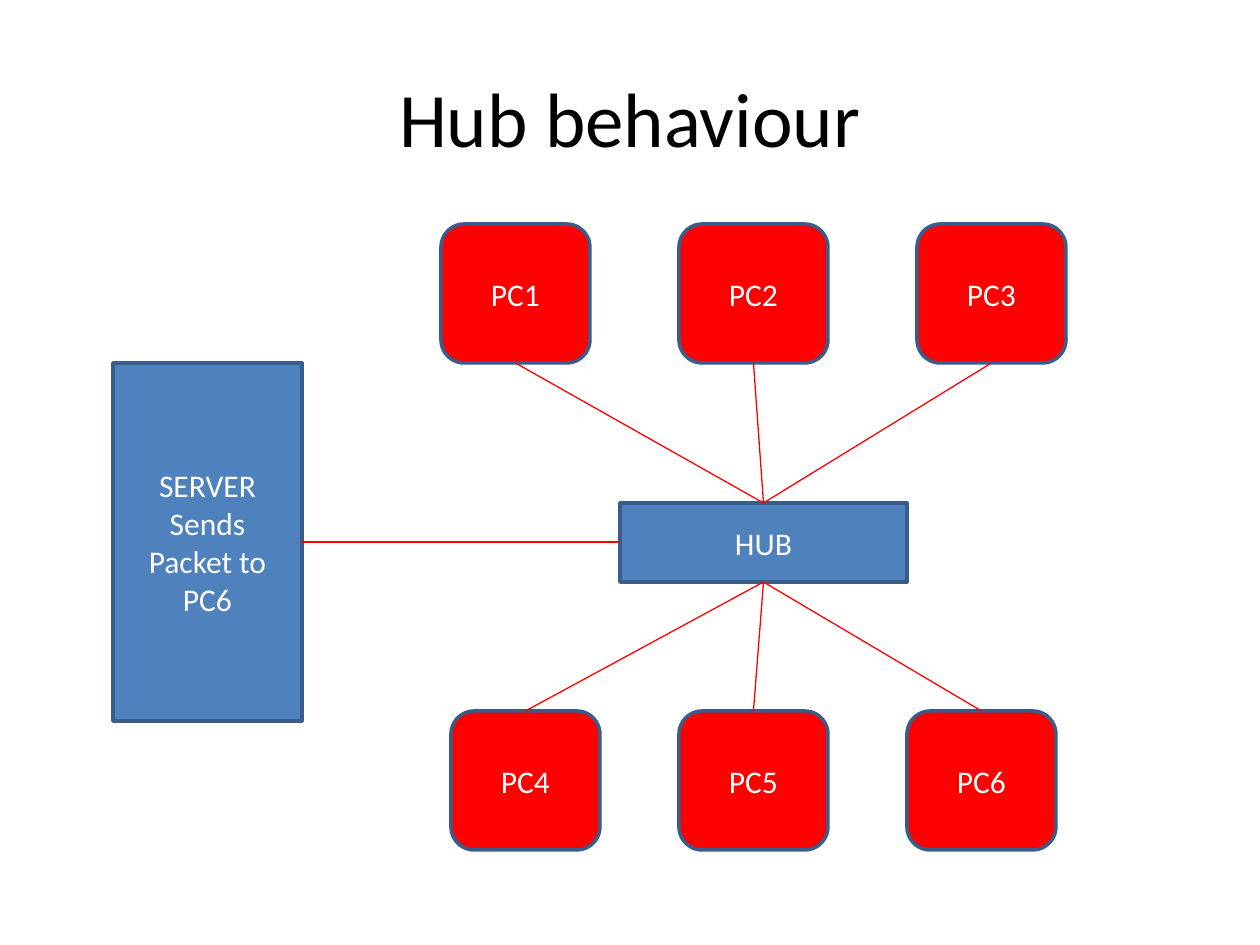
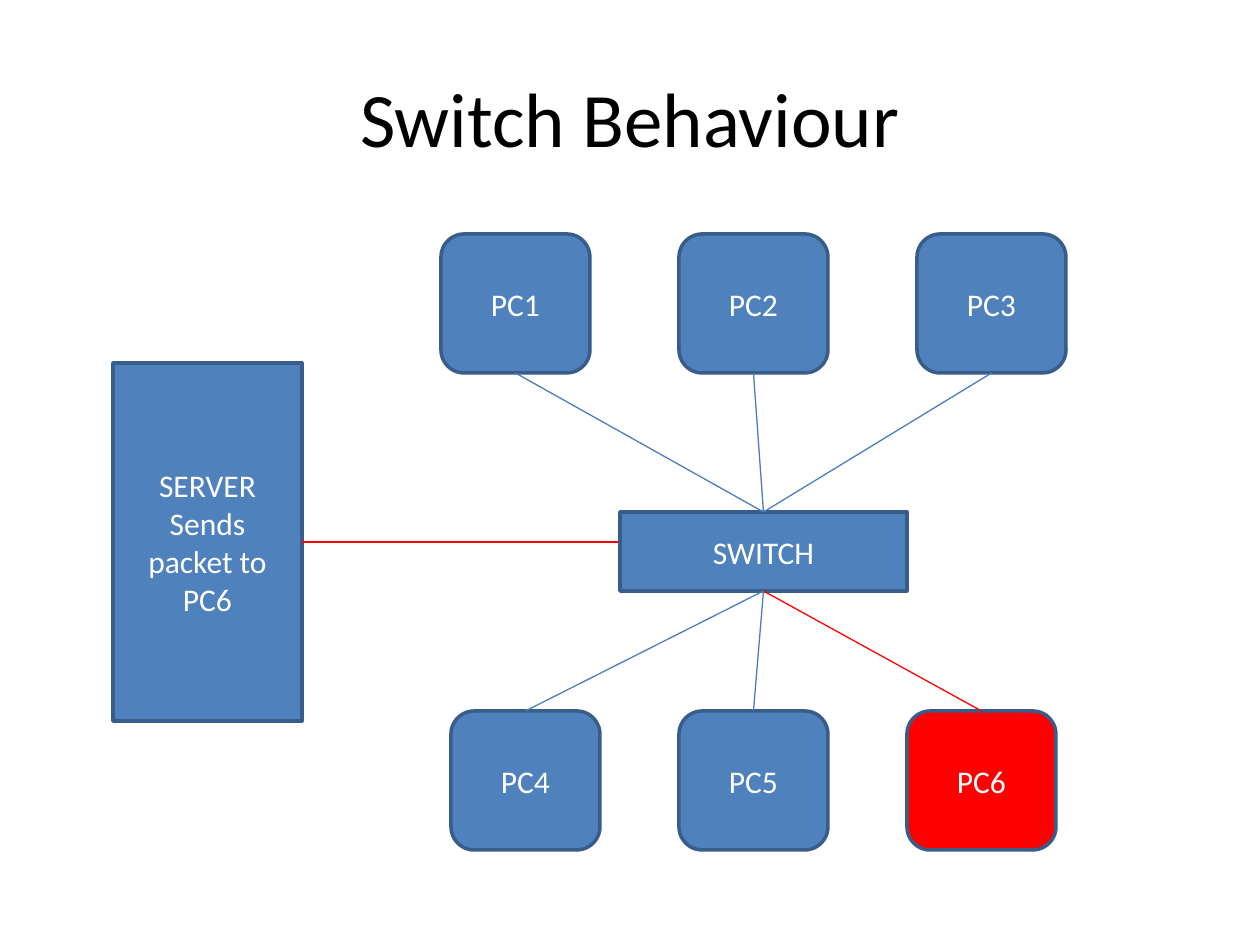
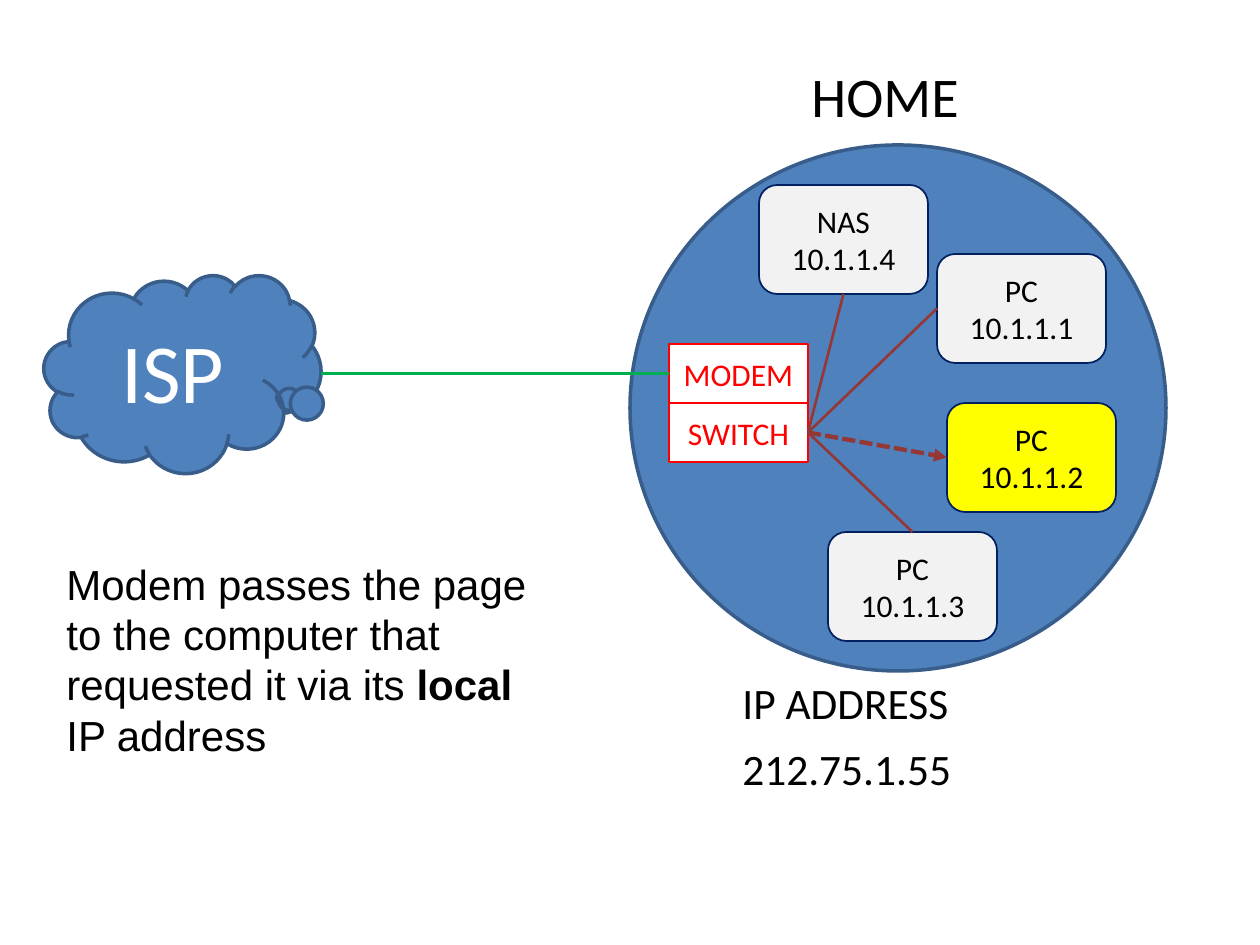
from lxml.etree import SubElement
from pptx import Presentation
from pptx.dml.color import RGBColor
from pptx.enum.dml import MSO_LINE
from pptx.enum.shapes import MSO_CONNECTOR, MSO_SHAPE
from pptx.enum.text import MSO_ANCHOR, MSO_AUTO_SIZE, PP_ALIGN
from pptx.oxml.ns import qn
from pptx.util import Pt

PX = 914400 / 126
BLUE, EDGE, WIRE = "4F81BD", "385D8A", "4A7EBB"
RED, GREEN, BROWN, NAVY = "FF0000", "00B050", "953735", "002060"
WHITE, BLACK, GREY, YELLOW = "FFFFFF", "000000", "F2F2F2", "FFFF00"

TITLE = (63, 38, 1134, 157)
SERVER = (113, 363, 189, 358)
PC_W, PC_H = 149, 139
HUB_X, HUB_W, HUB_H = 620, 287, 79
LOW_Y = 711
MID_X = 679
NETS = [
    {"title": "Hub behaviour", "server": ["SERVER", "Sends", "Packet to PC6"],
     "hub": "HUB", "hub_y": 503, "top_y": 224, "active": {1, 2, 3, 4, 5, 6}},
    {"title": "Switch Behaviour", "server": ["SERVER", "Sends packet to PC6"],
     "hub": "SWITCH", "hub_y": 512, "top_y": 234, "active": {6}},
]

CLOUD = (44, 275, 277, 198)
HOME = (630, 145, 536, 526)
ROUTER = (669, 344, 139, 59)
DEV_W, DEV_H = 169, 109
# name, address, left, top, where its link lands (share of width and height)
DEVICES = [
    ("NAS", "10.1.1.4", 759, 185, (0.5, 1)),
    ("PC", "10.1.1.1", 937, 254, (0, 0.5)),
    ("PC", "10.1.1.2", 947, 403, (0, 0.5)),
    ("PC", "10.1.1.3", 828, 532, (0.5, 0)),
]
TARGET = "10.1.1.2"
LABELS = [
    ((799, 55, 198, 79), ["HOME"], 32, "Calibri"),
    ((730, 670, 349, 134), ["IP ADDRESS", "212.75.1.55"], 24.8, "Calibri"),
    ((54, 552, 517, 214), ["Modem passes the page to the computer that "
     "requested it via its *local* IP address"], 24, "Arial"),
]


def rgb(code):
    return RGBColor.from_string(code)


def emu(*sizes):
    return [round(size * PX) for size in sizes]


def write(frame, lines, size, color, face="Calibri", align=PP_ALIGN.CENTER, gap=0):
    """Fill a text frame, one paragraph a line; text between stars is bold."""
    frame.word_wrap = True
    for i, line in enumerate(lines):
        para = frame.paragraphs[0] if i == 0 else frame.add_paragraph()
        for j, part in enumerate(line.split("*")):
            run = para.add_run()
            run.text = part
            if j % 2:
                run.font.bold = True
        para.alignment = align
        if i:
            para.space_before = Pt(gap)
        font = para.font
        font.size, font.name = Pt(size), face
        font.color.rgb = rgb(color)


def shape(slide, kind, box, lines=(), fill=BLUE, edge=EDGE, width=2, color=WHITE, size=18):
    item = slide.shapes.add_shape(kind, *emu(*box))
    item.shadow.inherit = False
    item.fill.solid()
    item.fill.fore_color.rgb = rgb(fill)
    item.line.color.rgb = rgb(edge)
    item.line.width = Pt(width)
    item.text_frame.vertical_anchor = MSO_ANCHOR.MIDDLE
    write(item.text_frame, lines, size, color)
    return item


def link(slide, start, end, color, width=0.75):
    wire = slide.shapes.add_connector(MSO_CONNECTOR.STRAIGHT, *emu(*start, *end))
    wire.line.color.rgb = rgb(color)
    wire.line.width = Pt(width)
    SubElement(wire.element.spPr, qn("a:effectLst"))
    return wire


def arrow(wire):
    wire.line.dash_style = MSO_LINE.SQUARE_DOT
    tail = SubElement(wire.line._get_or_add_ln(), qn("a:tailEnd"))
    tail.set("type", "triangle")


def draw_net(deck, net):
    slide = deck.slides.add_slide(deck.slide_layouts[5])
    title = slide.shapes.title
    title.left, title.top, title.width, title.height = emu(*TITLE)
    title.text_frame.vertical_anchor = MSO_ANCHOR.MIDDLE
    write(title.text_frame, [net["title"]], 44, BLACK)

    left, top, width, height = SERVER
    mid = top + height / 2
    shape(slide, MSO_SHAPE.RECTANGLE, SERVER, net["server"])
    link(slide, (left + width, mid), (HUB_X, mid), RED)
    hub_y = net["hub_y"]
    shape(slide, MSO_SHAPE.RECTANGLE, (HUB_X, hub_y, HUB_W, HUB_H), [net["hub"]])

    rows = [(net["top_y"], 238, PC_H, hub_y), (LOW_Y, 228, 0, hub_y + HUB_H)]
    for row, (y, pitch, port, hub_edge) in enumerate(rows):
        for col in range(3):
            num = row * 3 + col + 1
            hot = num in net["active"]
            x = MID_X + (col - 1) * pitch
            shape(slide, MSO_SHAPE.ROUNDED_RECTANGLE, (x, y, PC_W, PC_H),
                  [f"PC{num}"], RED if hot else BLUE)
            link(slide, (HUB_X + HUB_W / 2, hub_edge), (x + PC_W / 2, y + port),
                 RED if hot else WIRE)


def draw_home(deck):
    slide = deck.slides.add_slide(deck.slide_layouts[6])
    cloud = shape(slide, MSO_SHAPE.CLOUD_CALLOUT, CLOUD, ["ISP"], size=48)
    cloud.adjustments[0], cloud.adjustments[1] = 0.36, 0.12
    shape(slide, MSO_SHAPE.OVAL, HOME)

    left, top, width, height = ROUTER
    for i, name in enumerate(["MODEM", "SWITCH"]):
        shape(slide, MSO_SHAPE.RECTANGLE, (left, top + i * height, width, height),
              [name], WHITE, RED, 1, RED)
    mid = top + height / 2
    link(slide, (CLOUD[0] + CLOUD[2], mid), (left, mid), GREEN, 2)

    port = (left + width, mid + height)
    for name, addr, x, y, (across, down) in DEVICES:
        hot = addr == TARGET
        shape(slide, MSO_SHAPE.FLOWCHART_ALTERNATE_PROCESS, (x, y, DEV_W, DEV_H),
              [name, addr], YELLOW if hot else GREY, NAVY, 1, BLACK)
        end = (x + across * DEV_W, y + down * DEV_H)
        wire = link(slide, port, end, BROWN, 2.5 if hot else 1.5)
        if hot:
            arrow(wire)

    for box, lines, size, face in LABELS:
        frame = slide.shapes.add_textbox(*emu(*box)).text_frame
        frame.auto_size = MSO_AUTO_SIZE.NONE
        write(frame, lines, size, BLACK, face, PP_ALIGN.LEFT, 8)


def main():
    deck = Presentation()
    deck.slide_width, deck.slide_height = emu(1260, 945)
    for net in NETS:
        draw_net(deck, net)
    draw_home(deck)
    deck.save("out.pptx")


if __name__ == "__main__":
    main()
